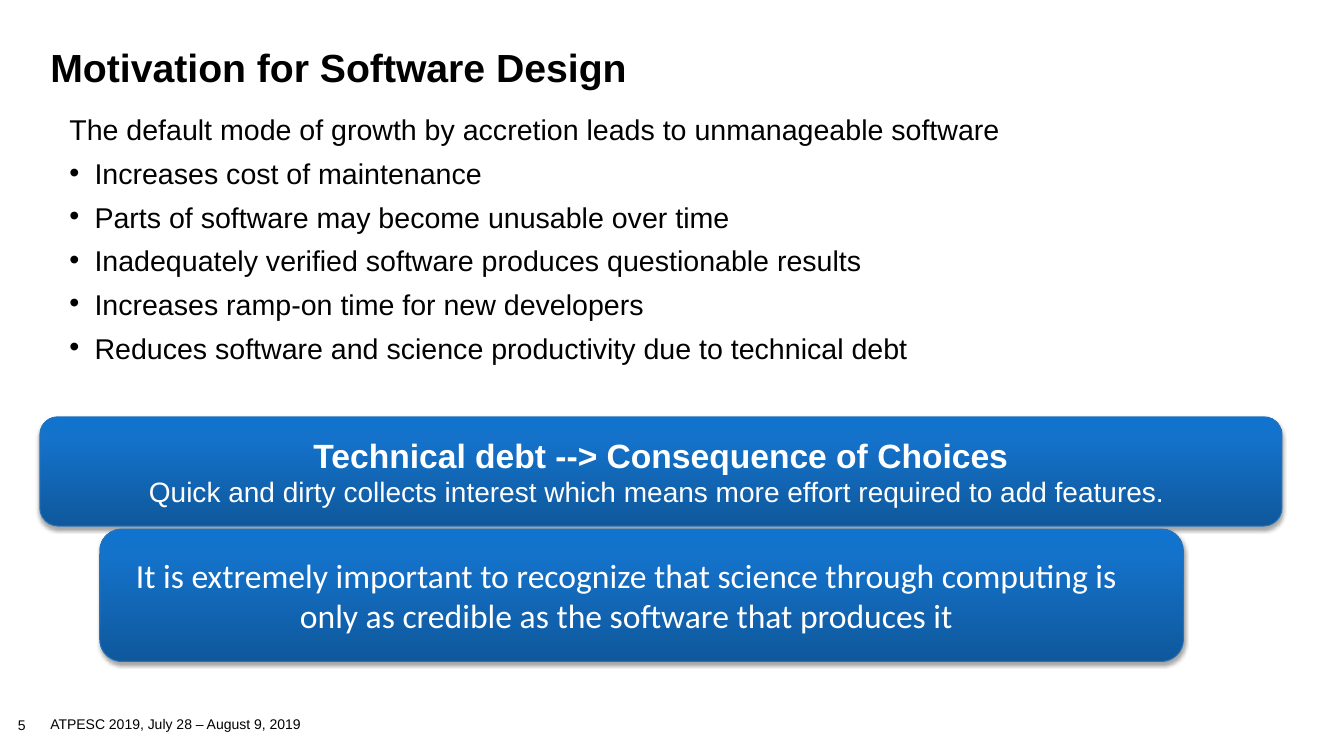
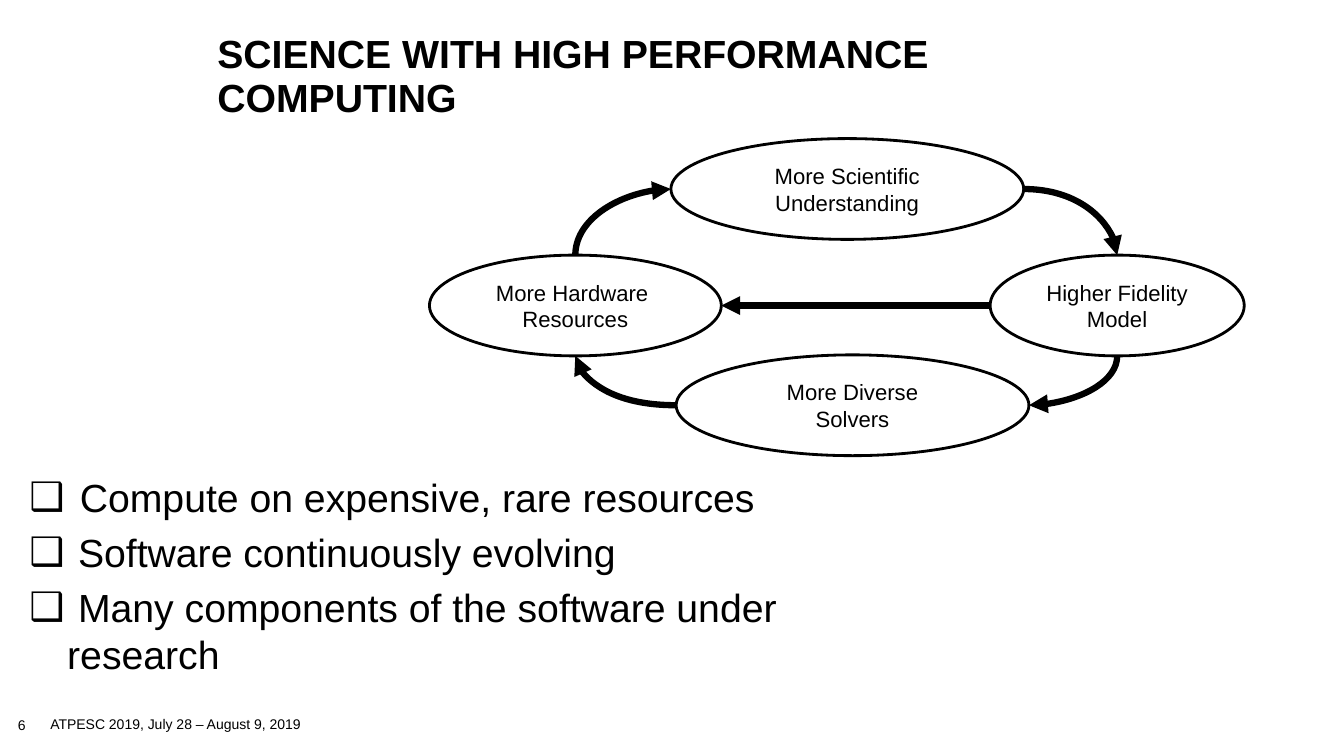
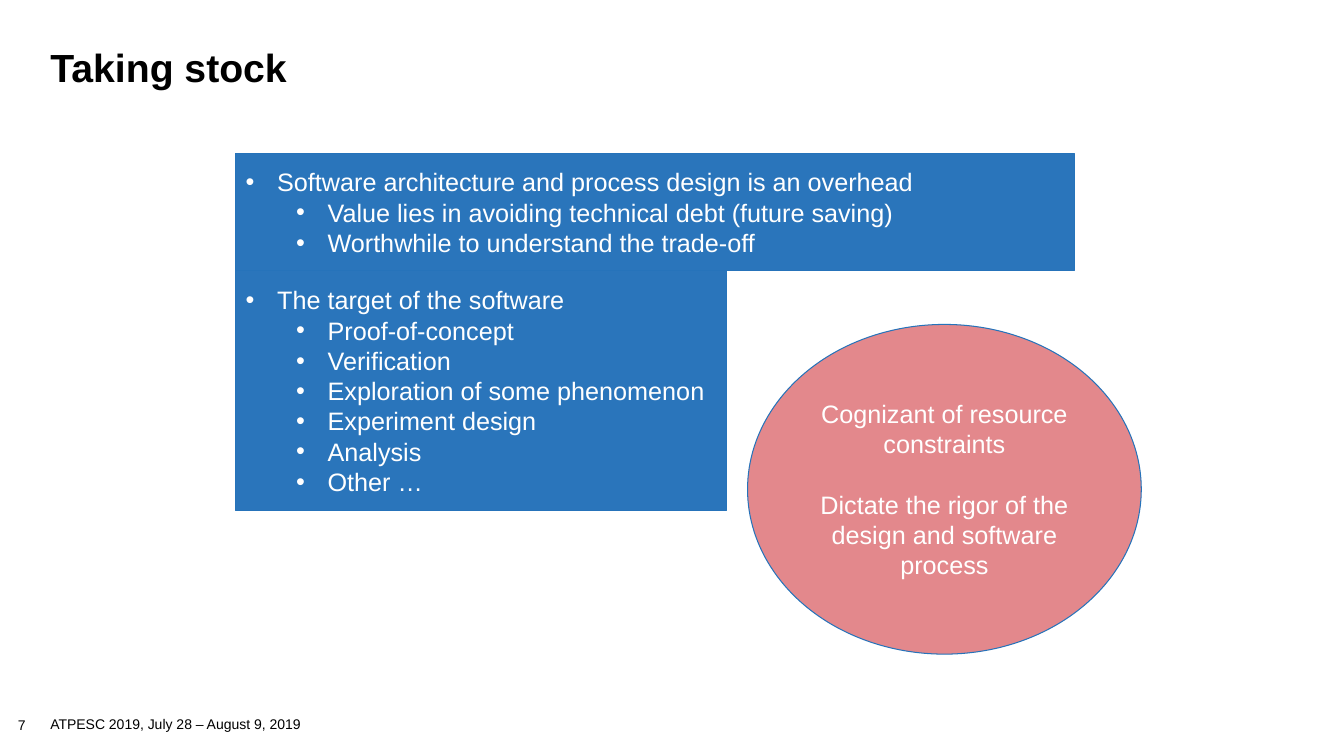
from dataclasses import dataclass
from lxml.etree import SubElement
from pptx import Presentation
from pptx.dml.color import RGBColor
from pptx.enum.shapes import MSO_CONNECTOR, MSO_SHAPE
from pptx.enum.text import MSO_ANCHOR, PP_ALIGN
from pptx.oxml import parse_xml
from pptx.oxml.ns import nsdecls, qn
from pptx.util import Pt

PX = 9525
BLACK, WHITE = "000000", "FFFFFF"
BLUE, BLUE_EDGE, ROSE = "2A75BB", "2673BA", "E3888C"
GLOSS = ((0, "0F589C"), (80, "1472CA"), (100, "1073CF"))
FOOTER = "ATPESC 2019, July 28 – August 9, 2019"
INSET = (10, 5, 10, 5)


@dataclass
class Para:
    """One paragraph with its look."""
    text: str
    size: float = 18
    color: str = BLACK
    bold: bool = False
    font: str = "Arial"
    align: PP_ALIGN = PP_ALIGN.LEFT
    spacing: float = 1
    before: float = 0
    bullet: str = ""
    left: int = 0
    hang: int = 0


def rgb(value):
    """Turn a hex string into a colour."""
    return RGBColor.from_string(value)


def box(px):
    """Turn a px rectangle into EMU."""
    return [value * PX for value in px]


def write(shape, paras, anchor=MSO_ANCHOR.TOP, inset=INSET):
    """Fill a shape's text frame with paragraphs."""
    frame = shape.text_frame
    frame.word_wrap = True
    frame.vertical_anchor = anchor
    (frame.margin_left, frame.margin_top,
     frame.margin_right, frame.margin_bottom) = box(inset)
    for index, para in enumerate(paras):
        line = frame.paragraphs[0] if index == 0 else frame.add_paragraph()
        if para.bullet:
            props = line._p.get_or_add_pPr()
            props.set("marL", str(para.left * PX))
            props.set("indent", str(-para.hang * PX))
            SubElement(props, qn("a:buFont"), typeface="Arial")
            SubElement(props, qn("a:buChar"), char=para.bullet)
        line.alignment = para.align
        line.line_spacing = para.spacing
        line.space_before = Pt(para.before if index else 0)
        run = line.add_run()
        run.text = para.text
        run.font.name = para.font
        run.font.size = Pt(para.size)
        run.font.bold = para.bold
        run.font.color.rgb = rgb(para.color)


def add_text(slide, area, paras, **layout):
    """Add a plain text box."""
    write(slide.shapes.add_textbox(*box(area)), paras, **layout)


def add_panel(slide, kind, area, paras, fill=None, edge=BLUE_EDGE, width=0.75, inset=INSET):
    """Add an outlined shape with vertically centred text."""
    panel = slide.shapes.add_shape(kind, *box(area))
    panel.shadow.inherit = False
    if fill:
        panel.fill.solid()
        panel.fill.fore_color.rgb = rgb(fill)
    else:
        panel.fill.background()
    panel.line.color.rgb = rgb(edge)
    panel.line.width = Pt(width)
    write(panel, paras, MSO_ANCHOR.MIDDLE, inset)
    return panel


def add_glossy_panel(slide, area, paras, inset=INSET):
    """Add a rounded panel with a blue gradient and a soft shadow."""
    panel = add_panel(slide, MSO_SHAPE.ROUNDED_RECTANGLE, area, paras, BLUE, inset=inset)
    props = panel._element.spPr
    stops = "".join(f'<a:gs pos="{at * 1000}"><a:srgbClr val="{color}"/></a:gs>'
                    for at, color in GLOSS)
    props.replace(props.find(qn("a:solidFill")), parse_xml(
        f'<a:gradFill {nsdecls("a")} rotWithShape="1"><a:gsLst>{stops}</a:gsLst>'
        '<a:lin ang="16200000" scaled="0"/></a:gradFill>'))
    props.find(qn("a:effectLst")).append(parse_xml(
        f'<a:outerShdw {nsdecls("a")} blurRad="{Pt(3.1)}" dist="{Pt(1.8)}" dir="5400000" '
        f'rotWithShape="0"><a:srgbClr val="{BLACK}"><a:alpha val="35000"/></a:srgbClr>'
        '</a:outerShdw>'))


def add_arrow(slide, start, end, curved=True, head_at="tailEnd"):
    """Add a thick arrow; a curved one leaves its start sideways."""
    kind = MSO_CONNECTOR.CURVE if curved else MSO_CONNECTOR.STRAIGHT
    arrow = slide.shapes.add_connector(kind, *box(start + end))
    arrow.line.color.rgb = rgb(BLACK)
    arrow.line.width = Pt(4.5)
    props = arrow._element.spPr
    if curved:
        props.find(qn("a:prstGeom")).set("prst", "curvedConnector2")
    SubElement(props.find(qn("a:ln")), qn(f"a:{head_at}"), type="triangle")
    SubElement(props, qn("a:effectLst"))


def side(area, across, down):
    """Return the point at the given fractions of a px rectangle."""
    left, top, width, height = area
    return (round(left + across * width), round(top + down * height))


def add_page(deck, number):
    """Add a blank slide with its number and footer."""
    slide = deck.slides.add_slide(deck.slide_layouts[6])
    add_text(slide, (17, 684, 54, 15), [Para(str(number), 10, spacing=0.9)], inset=(0, 0, 0, 0))
    add_text(slide, (38, 680, 348, 19), [Para(FOOTER, 10)], anchor=MSO_ANCHOR.MIDDLE)
    return slide


def add_title(slide, text):
    """Add the usual slide title."""
    add_text(slide, (38, 43, 1194, 54), [Para(text, 28, bold=True, spacing=0.85)])


def outline(head, *points):
    """Make a white bulleted heading with indented points."""
    return [Para(text, color=WHITE, bullet="•", left=78 if level else 30, hang=30)
            for level, text in [(0, head)] + [(1, point) for point in points]]


def centred(*texts, **look):
    """Make centred paragraphs that share one look."""
    return [Para(text, align=PP_ALIGN.CENTER, **look) for text in texts]


def motivation(deck):
    """Build the slide on why design matters."""
    slide = add_page(deck, 5)
    add_title(slide, "Motivation for Software Design")
    look = dict(size=20.4, spacing=0.7, before=14)
    lead = Para("The default mode of growth by accretion leads to unmanageable software", **look)
    effects = ("Increases cost of maintenance",
               "Parts of software may become unusable over time",
               "Inadequately verified software produces questionable results",
               "Increases ramp-on time for new developers",
               "Reduces software and science productivity due to technical debt")
    add_text(slide, (56, 111, 1071, 254),
             [lead] + [Para(text, bullet="•", left=24, hang=24, **look) for text in effects])
    add_glossy_panel(
        slide, (38, 397, 1183, 104),
        centred("Technical debt --> Consequence of Choices", size=24, color=WHITE, bold=True)
        + centred("Quick and dirty collects interest which means more effort "
                  "required to add features. ", size=20, color=WHITE))
    add_glossy_panel(
        slide, (95, 504, 1032, 126),
        centred("It is extremely important to recognize that science through computing is "
                "only as credible as the software that produces it",
                size=24, color=WHITE, font="Calibri"), inset=(10, 5, 39, 5))


def science_cycle(deck):
    """Build the slide on the cycle of computing and science."""
    slide = add_page(deck, 6)
    needs = (("Compute on expensive, rare resources", 48),
             (" Software continuously evolving", 36),
             (" Many components of the software under research", 36))
    add_text(slide, (18, 446, 753, 214),
             [Para(text, 28, before=5.6, bullet="❑", left=indent, hang=indent)
              for text, indent in needs])
    understanding, model = (639, 132, 336, 96), (943, 243, 242, 96)
    solvers, hardware = (644, 338, 336, 96), (409, 243, 278, 96)
    stages = ((understanding, ["More Scientific Understanding"]),
              (model, ["Higher Fidelity", "Model"]),
              (solvers, ["More Diverse", "Solvers"]),
              (hardware, ["More Hardware ", "Resources"]))
    for area, lines in stages:
        add_panel(slide, MSO_SHAPE.OVAL, area, centred(*lines, size=15.8), edge=BLACK, width=2)
    top, bottom, left, right = (0.5, 0), (0.5, 1), (0, 0.5), (1, 0.5)
    add_arrow(slide, side(understanding, *right), side(model, *top))
    add_arrow(slide, side(solvers, *right), side(model, *bottom), head_at="headEnd")
    add_arrow(slide, side(solvers, *left), side(hardware, *bottom))
    add_arrow(slide, side(understanding, *left), side(hardware, *top), head_at="headEnd")
    add_arrow(slide, side(model, *left), side(hardware, *right), curved=False)
    add_text(slide, (207, 29, 879, 87),
             [Para("SCIENCE WITH HIGH PERFORMANCE COMPUTING", 28, bold=True, spacing=0.95)],
             anchor=MSO_ANCHOR.BOTTOM, inset=(0, 0, 0, 0))


def taking_stock(deck):
    """Build the slide that weighs design against its cost."""
    slide = add_page(deck, 7)
    add_title(slide, "Taking stock")
    add_panel(slide, MSO_SHAPE.RECTANGLE, (224, 146, 799, 112), outline(
        "Software architecture and process design is an overhead",
        "Value lies in avoiding technical debt (future saving)",
        "Worthwhile to understand the trade-off"), BLUE)
    add_panel(slide, MSO_SHAPE.RECTANGLE, (224, 258, 468, 228), outline(
        "The target of the software", "Proof-of-concept", "Verification",
        "Exploration of some phenomenon", "Experiment design", "Analysis", "Other …"), BLUE)
    add_panel(slide, MSO_SHAPE.OVAL, (712, 309, 375, 314), centred(
        "Cognizant of resource constraints",
        "Dictate the rigor of the design and software process",
        color=WHITE, before=21.6), ROSE)


def main():
    """Build and save the deck."""
    deck = Presentation()
    deck.slide_width, deck.slide_height = box((1280, 720))
    motivation(deck)
    science_cycle(deck)
    taking_stock(deck)
    deck.save("out.pptx")


if __name__ == "__main__":
    main()
